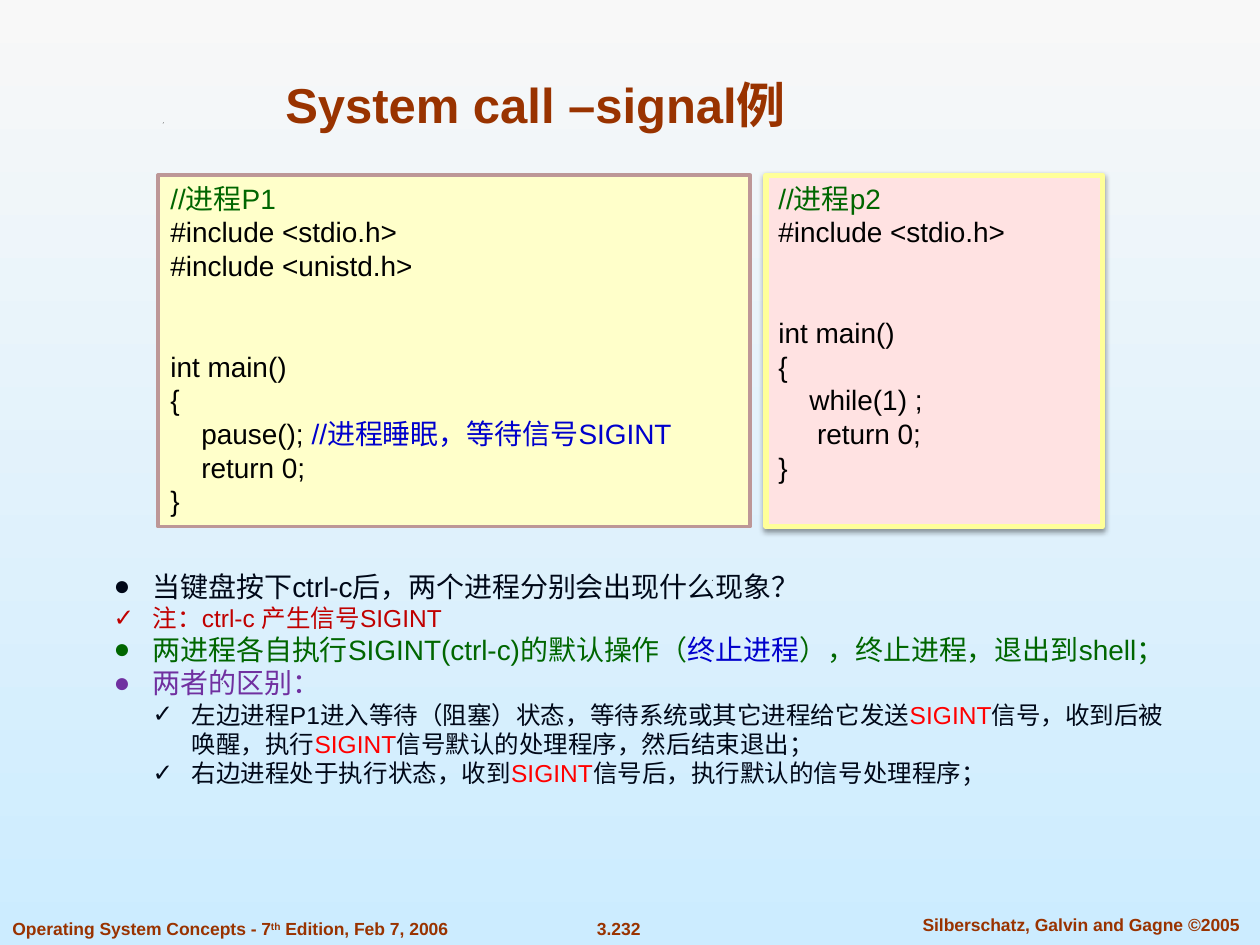
from dataclasses import dataclass

from lxml.etree import SubElement
from pptx import Presentation
from pptx.dml.color import RGBColor
from pptx.enum.shapes import MSO_SHAPE
from pptx.enum.text import MSO_ANCHOR, PP_ALIGN
from pptx.oxml import parse_xml
from pptx.oxml.ns import nsdecls, qn
from pptx.util import Inches, Pt

BLACK = RGBColor(0x00, 0x00, 0x00)
BROWN = RGBColor(0x99, 0x33, 0x00)
GREEN = RGBColor(0x00, 0x66, 0x00)
BLUE = RGBColor(0x00, 0x00, 0xCC)
INK = RGBColor(0x00, 0x08, 0x18)
CRIMSON = RGBColor(0xC0, 0x00, 0x00)
RED = RGBColor(0xFF, 0x00, 0x00)
PURPLE = RGBColor(0x70, 0x30, 0xA0)
CREAM = RGBColor(0xFF, 0xFF, 0xCA)
ROSE = RGBColor(0xBD, 0x97, 0x97)
PINK = RGBColor(0xFF, 0xE2, 0xE2)
YELLOW = RGBColor(0xFF, 0xFF, 0x99)
SKY_TOP = RGBColor(0xF8, 0xF8, 0xF8)
SKY_BOTTOM = RGBColor(0xCC, 0xEC, 0xFF)

FONT = "Arial"
COLUMNS, ROWS = 100, 75
SLIDE_WIDTH, SLIDE_HEIGHT = Inches(10), Inches(7.5)
COLUMN, ROW = SLIDE_WIDTH / COLUMNS, SLIDE_HEIGHT / ROWS
INDENT = Inches(0.31)
CODE_SIZE = 16
CODE_GAP = 38.4
SPECK_SIZE = 0.1
SPECKS = [(17.6, 54.2), (13, 46), (56.5, 46), (12.9, 9.7)]


@dataclass
class Area:
    column: float
    row: float
    columns: float
    rows: float

    def box(self):
        return (round(self.column * COLUMN), round(self.row * ROW),
                round(self.columns * COLUMN), round(self.rows * ROW))


@dataclass
class Run:
    text: str
    color: RGBColor | None = None
    superscript: bool = False


@dataclass
class Line:
    runs: list[Run]
    size: float
    color: RGBColor
    bold: bool = False
    align: PP_ALIGN = PP_ALIGN.LEFT
    gap: float = 0
    bullet: str = ""
    level: int = 0


@dataclass
class CodePanel:
    area: Area
    fill: RGBColor
    border: RGBColor
    border_width: float
    lines: list[Line]
    shadow: bool = False


def code(text: str, comment: str = "", gap: float = 0) -> Line:
    runs = [Run(text)]
    if comment:
        runs.append(Run(comment, BLUE))
    return Line(runs, CODE_SIZE, BLACK, gap=gap)


def heading(text: str) -> Line:
    return Line([Run(text)], CODE_SIZE, GREEN)


def label(*runs: Run, size: float = 10, align: PP_ALIGN = PP_ALIGN.CENTER) -> Line:
    return Line(list(runs), size, BROWN, bold=True, align=align)


def point(color: RGBColor, *runs: Run) -> Line:
    return Line(list(runs), 16, color, bullet="●")


def check(color: RGBColor, level: int, *runs: Run) -> Line:
    return Line(list(runs), 14, color, bullet="✓", level=level)


def write_lines(text_frame, lines: list[Line]) -> None:
    for index, line in enumerate(lines):
        paragraph = text_frame.paragraphs[0] if index == 0 else text_frame.add_paragraph()
        paragraph.alignment = line.align
        if line.gap:
            paragraph.space_before = Pt(line.gap)
        if line.bullet:
            properties = paragraph._p.get_or_add_pPr()
            properties.set("marL", str(INDENT * (line.level + 1)))
            properties.set("indent", str(-INDENT))
            SubElement(properties, qn("a:buFont")).set("typeface", FONT)
            SubElement(properties, qn("a:buChar")).set("char", line.bullet)
        paragraph.font.name = FONT
        paragraph.font.size = Pt(line.size)
        paragraph.font.bold = line.bold
        same_color = all(part.color is None for part in line.runs)
        if same_color:
            paragraph.font.color.rgb = line.color
        for part in line.runs:
            run = paragraph.add_run()
            run.text = part.text
            if not same_color:
                run.font.color.rgb = part.color or line.color
            if part.superscript:
                run.font._element.set("baseline", "30000")


def add_text(slide, area: Area, lines: list[Line], wrap: bool = True,
             anchor: MSO_ANCHOR = MSO_ANCHOR.TOP) -> None:
    text_frame = slide.shapes.add_textbox(*area.box()).text_frame
    text_frame.word_wrap = wrap
    text_frame.vertical_anchor = anchor
    write_lines(text_frame, lines)


def add_speck(slide, column: float, row: float) -> None:
    left, top, width, height = Area(column, row, SPECK_SIZE, SPECK_SIZE).box()
    builder = slide.shapes.build_freeform(left, top + height)
    builder.add_line_segments([(left + width, top), (left + width // 2, top + height)])
    shape = builder.convert_to_shape()
    shape.shadow.inherit = False
    shape.fill.solid()
    shape.fill.fore_color.rgb = BLACK
    shape.line.fill.background()


def add_code_panel(slide, panel: CodePanel) -> None:
    shape = slide.shapes.add_shape(MSO_SHAPE.RECTANGLE, *panel.area.box())
    shape.fill.solid()
    shape.fill.fore_color.rgb = panel.fill
    shape.line.color.rgb = panel.border
    shape.line.width = Pt(panel.border_width)
    shape.shadow.inherit = False
    if panel.shadow:
        effects = shape._element.spPr.find(qn("a:effectLst"))
        effects.append(parse_xml(
            f'<a:outerShdw {nsdecls("a")} blurRad="{Pt(3.1)}" dist="{Pt(1.6)}" '
            'dir="5400000" rotWithShape="0"><a:srgbClr val="000000">'
            '<a:alpha val="38000"/></a:srgbClr></a:outerShdw>'))
    shape.text_frame.word_wrap = True
    shape.text_frame.vertical_anchor = MSO_ANCHOR.TOP
    write_lines(shape.text_frame, panel.lines)


PANELS = [
    CodePanel(Area(12.54, 13.9, 47, 27.9), CREAM, ROSE, 2, [
        heading("//进程P1"),
        code("#include <stdio.h>"),
        code("#include <unistd.h>"),
        code("int main()", gap=CODE_GAP),
        code("{"),
        code("    pause(); ", "//进程睡眠，等待信号SIGINT"),
        code("    return 0;"),
        code("}"),
    ]),
    CodePanel(Area(60.8, 13.9, 26.7, 27.9), PINK, YELLOW, 3, [
        heading("//进程p2"),
        code("#include <stdio.h>"),
        code("int main()", gap=CODE_GAP),
        code("{"),
        code("    while(1) ;"),
        code("     return 0;"),
        code("}"),
    ], shadow=True),
]

SIGNAL = Run("SIGINT", RED)
NOTES = [
    point(INK, Run("当键盘按下ctrl-c后，两个进程分别会出现什么现象？")),
    check(CRIMSON, 0, Run("注：ctrl-c 产生信号SIGINT")),
    point(GREEN, Run("两进程各自执行SIGINT(ctrl-c)的默认操作（"), Run("终止进程", BLUE),
          Run("），终止进程，退出到shell；")),
    point(PURPLE, Run("两者的区别：")),
    check(INK, 1, Run("左边进程P1进入等待（阻塞）状态，等待系统或其它进程给它发送"), SIGNAL,
          Run("信号，收到后被唤醒，执行"), SIGNAL,
          Run("信号默认的处理程序，然后结束退出；")),
    check(INK, 1, Run("右边进程处于执行状态，收到"), SIGNAL,
          Run("信号后，执行默认的信号处理程序；")),
]


def main() -> None:
    presentation = Presentation()
    presentation.slide_width, presentation.slide_height = SLIDE_WIDTH, SLIDE_HEIGHT
    slide = presentation.slides.add_slide(presentation.slide_layouts[6])
    background = slide.background.fill
    background.gradient()
    background.gradient_angle = 270
    for stop, color in zip(background.gradient_stops, (SKY_TOP, SKY_BOTTOM)):
        stop.color.rgb = color
    for column, row in SPECKS:
        add_speck(slide, column, row)
    add_text(slide, Area(45.9, 72.35, 6.4, 2.7), [label(Run("3.232"))], wrap=False)
    add_text(slide, Area(70.95, 72.05, 29.7, 2.7),
             [label(Run("Silberschatz, Galvin and Gagne ©2005"))])
    add_text(slide, Area(0, 72.35, 40.9, 2.7),
             [label(Run("Operating System Concepts - 7"), Run("th", superscript=True),
                    Run(" Edition, Feb 7, 2006"), align=PP_ALIGN.LEFT)], wrap=False)
    add_text(slide, Area(11.1, 5.4, 62.8, 5.7),
             [label(Run("System call –signal例"), size=28)], anchor=MSO_ANCHOR.BOTTOM)
    for panel in PANELS:
        add_code_panel(slide, panel)
    add_text(slide, Area(8.03, 44.7, 86.1, 18.5), NOTES)
    presentation.save("out.pptx")


if __name__ == "__main__":
    main()
